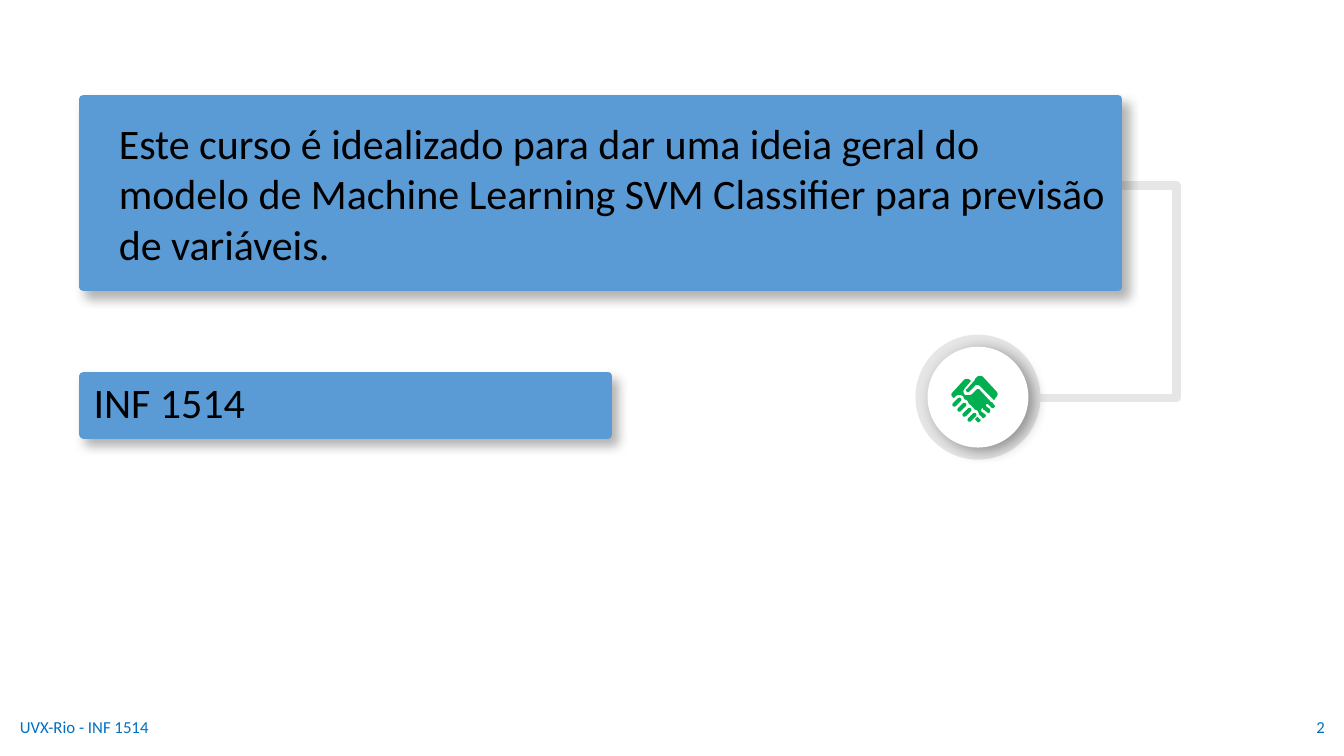
from lxml.etree import SubElement
from pptx import Presentation
from pptx.dml.color import RGBColor
from pptx.enum.shapes import MSO_CONNECTOR, MSO_SHAPE
from pptx.enum.text import MSO_ANCHOR, PP_ALIGN
from pptx.oxml.ns import qn
from pptx.util import Inches, Pt

COLORS = {
    "box": "5B9BD5",
    "ring": "E7E6E6",
    "disc": "FFFFFF",
    "icon": "00B050",
    "footer": "0070C0",
    "text": "000000",
}
FONT = "Calibri"
CURVE_STEPS = 4

LEFT_HAND = [
    (9.59, 3.76), (9.58, 3.76, 9.57, 3.76, 9.56, 3.77), (9.45, 3.89),
    (9.43, 3.9, 9.43, 3.93, 9.45, 3.94), (9.46, 3.95), (9.48, 3.93),
    (9.49, 3.92, 9.5, 3.92, 9.52, 3.92), (9.53, 3.92, 9.54, 3.92, 9.55, 3.93),
    (9.56, 3.94, 9.56, 3.95, 9.56, 3.96), (9.57, 3.96, 9.59, 3.97, 9.6, 3.98),
    (9.6, 3.99, 9.61, 4, 9.61, 4.01), (9.62, 4.01, 9.63, 4.02, 9.64, 4.03),
    (9.65, 4.04, 9.66, 4.05, 9.66, 4.06), (9.67, 4.06, 9.68, 4.07, 9.69, 4.07),
    (9.7, 4.08, 9.71, 4.1, 9.71, 4.11), (9.74, 4.14),
    (9.74, 4.14, 9.75, 4.15, 9.75, 4.15), (9.76, 4.15, 9.76, 4.14, 9.77, 4.14),
    (9.78, 4.13, 9.78, 4.12, 9.77, 4.11), (9.73, 4.08),
    (9.73, 4.07, 9.73, 4.07, 9.73, 4.06), (9.74, 4.05, 9.74, 4.05, 9.75, 4.05),
    (9.75, 4.06), (9.79, 4.09), (9.79, 4.09, 9.8, 4.1, 9.8, 4.1),
    (9.81, 4.1, 9.81, 4.09, 9.82, 4.09), (9.82, 4.08, 9.82, 4.07, 9.82, 4.06),
    (9.78, 4.03), (9.78, 4.02, 9.78, 4.01, 9.78, 4.01), (9.79, 4.01), (9.8, 4.01),
    (9.83, 4.04), (9.84, 4.05, 9.84, 4.05, 9.85, 4.05),
    (9.85, 4.05, 9.86, 4.05, 9.86, 4.04), (9.87, 4.04, 9.87, 4.02, 9.86, 4.02),
    (9.84, 3.99), (9.83, 3.99), (9.71, 3.86), (9.7, 3.86), (9.69, 3.86), (9.64, 3.91),
    (9.63, 3.92, 9.61, 3.92, 9.6, 3.92), (9.59, 3.92, 9.58, 3.92, 9.57, 3.92),
    (9.55, 3.9, 9.55, 3.87, 9.57, 3.85), (9.63, 3.78), (9.62, 3.77),
    (9.61, 3.76, 9.6, 3.76, 9.59, 3.76),
]
RIGHT_HAND = [
    (9.72, 3.73), (9.71, 3.73, 9.7, 3.73, 9.69, 3.74), (9.67, 3.76), (9.67, 3.77),
    (9.59, 3.86), (9.58, 3.86, 9.58, 3.88, 9.59, 3.89),
    (9.59, 3.89, 9.59, 3.89, 9.6, 3.89), (9.6, 3.89, 9.61, 3.89, 9.61, 3.89),
    (9.67, 3.83), (9.67, 3.82, 9.68, 3.82, 9.69, 3.82),
    (9.7, 3.82, 9.71, 3.82, 9.72, 3.83), (9.86, 3.97), (9.88, 3.94),
    (9.9, 3.92, 9.9, 3.9, 9.88, 3.88), (9.75, 3.74),
    (9.74, 3.73, 9.73, 3.73, 9.72, 3.73),
]
FINGERTIP = [
    (9.69, 4.13), (9.69, 4.14), (9.67, 4.16), (9.69, 4.18),
    (9.69, 4.19, 9.7, 4.19, 9.7, 4.19), (9.71, 4.19, 9.71, 4.19, 9.72, 4.18),
    (9.73, 4.18, 9.73, 4.16, 9.72, 4.16), (9.69, 4.13),
]


def color(name):
    return RGBColor.from_string(COLORS[name])


def paint(shape, fill):
    shape.fill.solid()
    shape.fill.fore_color.rgb = color(fill)
    shape.line.fill.background()
    shape.shadow.inherit = False
    return shape


def add_shadow(shape, opacity, blur, distance, angle):
    effects = shape._element.spPr.find(qn("a:effectLst"))
    shadow = SubElement(effects, qn("a:outerShdw"), blurRad=str(Pt(blur)),
                        dist=str(Pt(distance)), dir=str(angle * 60000),
                        algn="tl", rotWithShape="0")
    shade = SubElement(shadow, qn("a:srgbClr"), val=COLORS["text"])
    SubElement(shade, qn("a:alpha"), val=str(opacity * 1000))


def add_preset(shapes, kind, left, top, width, height, fill):
    shape = shapes.add_shape(kind, Inches(left), Inches(top), Inches(width), Inches(height))
    return paint(shape, fill)


def write_text(shape, text, size, text_color, align=PP_ALIGN.LEFT):
    frame = shape.text_frame
    frame.word_wrap = True
    frame.vertical_anchor = MSO_ANCHOR.MIDDLE
    paragraph = frame.paragraphs[0]
    paragraph.text = text
    paragraph.alignment = align
    paragraph.font.name = FONT
    paragraph.font.size = Pt(size)
    paragraph.font.color.rgb = color(text_color)
    return paragraph


def add_box(slide, left, top, width, height, text):
    box = add_preset(slide.shapes, MSO_SHAPE.RECTANGLE, left, top, width, height, "box")
    box.line.color.rgb = color("box")
    box.line.width = Pt(6)
    add_shadow(box, 30, 7.9, 6, 50)
    frame = box.text_frame
    frame.margin_left = frame.margin_right = Inches(0.1)
    frame.margin_top = frame.margin_bottom = Inches(0.1)
    return write_text(box, text, 30, "text")


def add_footer(slide, left, width, text, align):
    box = slide.shapes.add_textbox(Inches(left), Inches(7.01), Inches(width), Inches(0.4))
    write_text(box, text, 12, "footer", align)


def add_elbow(slide, start, end, bend):
    connector = slide.shapes.add_connector(
        MSO_CONNECTOR.ELBOW, *(Inches(value) for value in start + end))
    connector.line.color.rgb = color("ring")
    connector.line.width = Pt(6)
    properties = connector._element.spPr
    adjustments = properties.find(qn("a:prstGeom")).get_or_add_avLst()
    SubElement(adjustments, qn("a:gd"), name="adj1", fmla=f"val {round(bend * 100000)}")
    SubElement(properties, qn("a:effectLst"))


def flatten(outline):
    points = [outline[0]]
    for segment in outline[1:]:
        if len(segment) == 2:
            points.append(segment)
            continue
        x0, y0 = points[-1]
        x1, y1, x2, y2, x3, y3 = segment
        for step in range(1, CURVE_STEPS + 1):
            t = step / CURVE_STEPS
            weights = ((1 - t) ** 3, 3 * t * (1 - t) ** 2, 3 * t * t * (1 - t), t ** 3)
            points.append((sum(w * x for w, x in zip(weights, (x0, x1, x2, x3))),
                           sum(w * y for w, y in zip(weights, (y0, y1, y2, y3)))))
    return [(Inches(x), Inches(y)) for x, y in points]


def add_outline(shapes, outline):
    start, *points = flatten(outline)
    builder = shapes.build_freeform(*start)
    builder.add_line_segments(points)
    paint(builder.convert_to_shape(), "icon")


def add_handshake(slide):
    shapes = slide.shapes.add_group_shape().shapes
    length, thickness, spacing = 0.11, 0.04, 0.05
    for index in range(4):
        center_x = 9.49 + index * spacing
        center_y = 3.99 + index * spacing
        finger = add_preset(shapes, MSO_SHAPE.ROUNDED_RECTANGLE, center_x - length / 2,
                            center_y - thickness / 2, length, thickness, "icon")
        finger.adjustments[0] = 0.5
        finger.rotation = 315
    for outline in (FINGERTIP, LEFT_HAND, RIGHT_HAND):
        add_outline(shapes, outline)


def main():
    presentation = Presentation()
    presentation.slide_width = Inches(13.33)
    presentation.slide_height = Inches(7.5)
    slide = presentation.slides.add_slide(presentation.slide_layouts[6])

    add_elbow(slide, (11.03, 1.84), (10.2, 3.95), -0.77)
    add_preset(slide.shapes, MSO_SHAPE.OVAL, 9.08, 3.32, 1.24, 1.24, "ring")
    disc = add_preset(slide.shapes, MSO_SHAPE.OVAL, 9.2, 3.44, 1, 1, "disc")
    add_shadow(disc, 39, 11.2, 4.5, 30)

    add_footer(slide, 0.1, 4.5, "UVX-Rio - INF 1514", PP_ALIGN.LEFT)
    add_footer(slide, 10.24, 3, "2", PP_ALIGN.RIGHT)

    title = add_box(slide, 0.83, 3.73, 5.2, 0.58, "INF 1514")
    title.line_spacing = 0.9
    summary = add_box(
        slide, 0.83, 0.98, 10.26, 1.87,
        "Este curso é idealizado para dar uma ideia geral do modelo de "
        "Machine Learning SVM Classifier para previsão de variáveis.")
    summary._p.get_or_add_pPr().set("marL", str(Inches(0.25)))

    add_handshake(slide)
    presentation.save("out.pptx")


if __name__ == "__main__":
    main()
